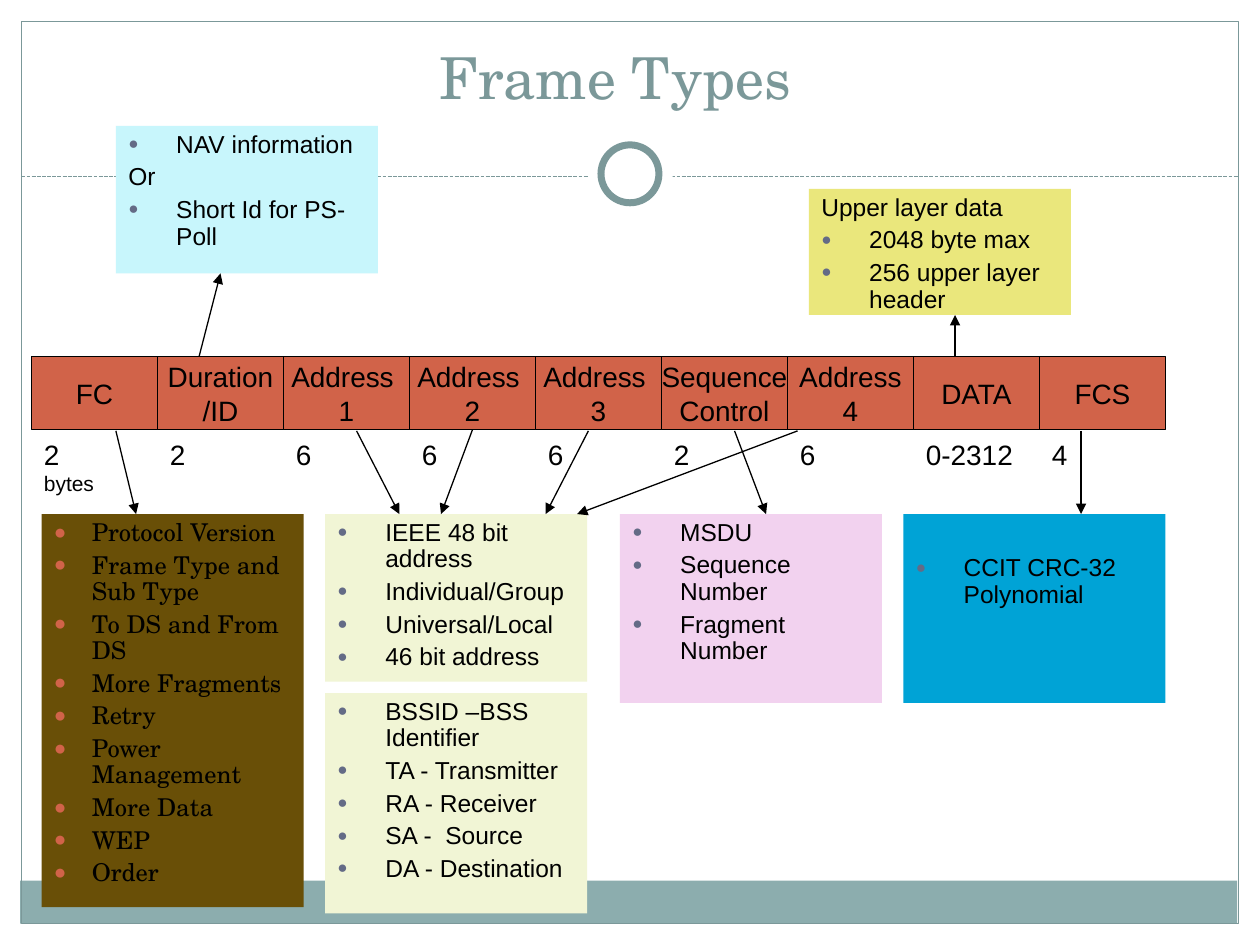
import pptx
import pptx.util
import pptx.dml.color
import pptx.enum.dml
import pptx.enum.shapes
import pptx.enum.text
import pptx.oxml.ns
import lxml.etree

Inches = pptx.util.Inches
Pt = pptx.util.Pt
KIND = pptx.enum.shapes.MSO_SHAPE
ALIGN = pptx.enum.text.PP_ALIGN
ANCHOR = pptx.enum.text.MSO_ANCHOR
qn = pptx.oxml.ns.qn


def color(code):
    return pptx.dml.color.RGBColor.from_string(code)


def add(kind, spot, fill=None, line=None, width=0.75):
    shape = deck.shapes.add_shape(kind, *map(Inches, spot))
    shape.shadow.inherit = False
    if fill:
        shape.fill.solid()
        shape.fill.fore_color.rgb = color(fill)
    else:
        shape.fill.background()
    if line:
        shape.line.color.rgb = color(line)
        shape.line.width = Pt(width)
    else:
        shape.line.fill.background()
    return shape


show = pptx.Presentation()
show.slide_width = Inches(10)
show.slide_height = Inches(7.5)
deck = show.slides.add_slide(show.slide_layouts[5])

add(KIND.RECTANGLE, (0.16, 6.99, 9.66, 0.34), "8CADAE")
add(KIND.RECTANGLE, (0.17, 0.17, 9.66, 7.16), None, "7B9899")
links = [(0.17, 1.4, 9.83, 1.4)]
rule = deck.shapes.add_connector(
    pptx.enum.shapes.MSO_CONNECTOR.STRAIGHT, *map(Inches, (0.17, 1.4, 9.83, 1.4)))
rule.line.color.rgb = color("7B9899")
rule.line.width = Pt(0.75)
rule.line.dash_style = pptx.enum.dml.MSO_LINE.SQUARE_DOT
lxml.etree.SubElement(rule._element.spPr, qn("a:effectLst"))
add(KIND.OVAL, (4.67, 1.05, 0.67, 0.67), "FFFFFF")
add(KIND.OVAL, (4.77, 1.15, 0.46, 0.46), "FFFFFF", "7B9899", 4)

title = deck.shapes.title
title.left, title.top, title.width, title.height = map(Inches, (1.02, 0.13, 7.73, 0.8))
title.text_frame.text = "Frame Types"
title.text_frame.auto_size = pptx.enum.text.MSO_AUTO_SIZE.NONE
title.text_frame.vertical_anchor = ANCHOR.BOTTOM
para = title.text_frame.paragraphs[0]
para.alignment = ALIGN.CENTER
font = para.runs[0].font
font.name, font.size, font.color.rgb = "TeX Gyre Schola", Pt(33), color("7B9899")

names = ["FC", "Duration\n/ID", "Address \n1", "Address \n2", "Address \n3",
         "Sequence\nControl", "Address\n4", "DATA", "FCS"]
cells = []
for i, name in enumerate(names):
    cell = add(KIND.RECTANGLE, (0.25 + i, 2.83, 1, 0.58), "D16349", "000000")
    cells.append(cell)
    frame = cell.text_frame
    frame.text = name
    frame.word_wrap = False
    frame.vertical_anchor = ANCHOR.MIDDLE
    for para in frame.paragraphs:
        para.alignment = ALIGN.CENTER
        font = para.runs[0].font
        font.name, font.size, font.color.rgb = "Arial", Pt(16), color("000000")

sizes = deck.shapes.add_textbox(*map(Inches, (0.25, 3.42, 9.48, 0.4)))
sizes.text_frame.word_wrap = False
para = sizes.text_frame.paragraphs[0]
tabs = lxml.etree.SubElement(para._p.get_or_add_pPr(), qn("a:tabLst"))
for stop in [1, 2, 3, 4, 5, 6, 7, 8, 8.89]:
    lxml.etree.SubElement(tabs, qn("a:tab"), pos=str(Inches(stop)), algn="l")
for text, size in [("2\t2\t6\t6\t6\t2\t6\t0-2312\t4\t", 16), ("bytes", 12)]:
    run = para.add_run()
    run.text = text
    font = run.font
    font.name, font.size, font.color.rgb = "Arial", Pt(size), color("000000")

notes = [
    (0.33, 4.08, 3.12, "694F07",
     ["Protocol Version", "Frame Type and Sub Type", "To DS and From DS",
      "More Fragments", "Retry", "Power Management", "More Data", "WEP", "Order"]),
    (0.92, 1, 1.17, "C8F6FC", ["NAV information", "Or", "Short Id for PS-Poll"]),
    (2.58, 5.5, 1.75, "F1F5D5",
     ["BSSID –BSS Identifier", "TA - Transmitter", "RA - Receiver",
      "SA -  Source", "DA - Destination"]),
    (2.58, 4.08, 1.33, "F1F5D5",
     ["IEEE 48 bit address", "Individual/Group", "Universal/Local", "46 bit address"]),
    (4.92, 4.08, 1.5, "F2D2EF", ["MSDU", "Sequence Number", "Fragment Number"]),
    (7.17, 4.08, 1.5, "00A3D6", ["CCIT CRC-32 Polynomial"]),
    (6.42, 1.5, 1, "EAE77C",
     ["Upper layer data", "2048 byte max", "256 upper layer header"]),
]
plain = ["Or", "Upper layer data"]
for left, top, high, fill, items in notes:
    face, dent, tint, scale = "Arial", 0.38, "646B86", 70
    if items[0] == "Protocol Version":
        face, dent, tint, scale = "TeX Gyre Schola", 0.3, "D16349", 85
    frame = add(KIND.RECTANGLE, (left, top, 2.08, high), fill).text_frame
    frame.text = "\n".join(items)
    frame.word_wrap = True
    frame.vertical_anchor = ANCHOR.TOP
    if len(items) == 1:
        frame.margin_top = Inches(0.33)
    for i, para in enumerate(frame.paragraphs):
        props = para._p.get_or_add_pPr()
        props.set("marL", str(Inches(dent)))
        props.set("indent", str(-Inches(dent)))
        if items[i] not in plain:
            hue = lxml.etree.SubElement(props, qn("a:buClr"))
            lxml.etree.SubElement(hue, qn("a:srgbClr"), val=tint)
            lxml.etree.SubElement(props, qn("a:buSzPct"), val=str(scale * 1000))
            lxml.etree.SubElement(props, qn("a:buFont"), typeface="Arial")
            lxml.etree.SubElement(props, qn("a:buChar"), char="●")
        para.alignment = ALIGN.LEFT
        para.line_spacing = 0.9
        para.space_before = Pt(3.5 if i else 0)
        font = para.runs[0].font
        font.name, font.size, font.color.rgb = face, Pt(14), color("000000")

links = [
    (0.92, 3.42, 1.08, 4.08), (1.58, 2.83, 1.75, 2.17), (2.83, 3.42, 3.17, 4.08),
    (3.75, 3.42, 3.5, 4.08), (4.67, 3.42, 4.33, 4.08), (6.33, 3.42, 4.58, 4.08),
    (5.83, 3.42, 6.08, 4.08), (8.58, 3.42, 8.58, 4.08), (7.58, 2.83, 7.58, 2.5),
]
for ends in links:
    link = deck.shapes.add_connector(
        pptx.enum.shapes.MSO_CONNECTOR.STRAIGHT, *map(Inches, ends))
    link.line.color.rgb = color("000000")
    link.line.width = Pt(0.75)
    lxml.etree.SubElement(link.line._get_or_add_ln(), qn("a:tailEnd"), type="triangle")
    lxml.etree.SubElement(link._element.spPr, qn("a:effectLst"))
    if ends[0] == 3.75:
        link.begin_connect(cells[3], 2)

show.save("out.pptx")
